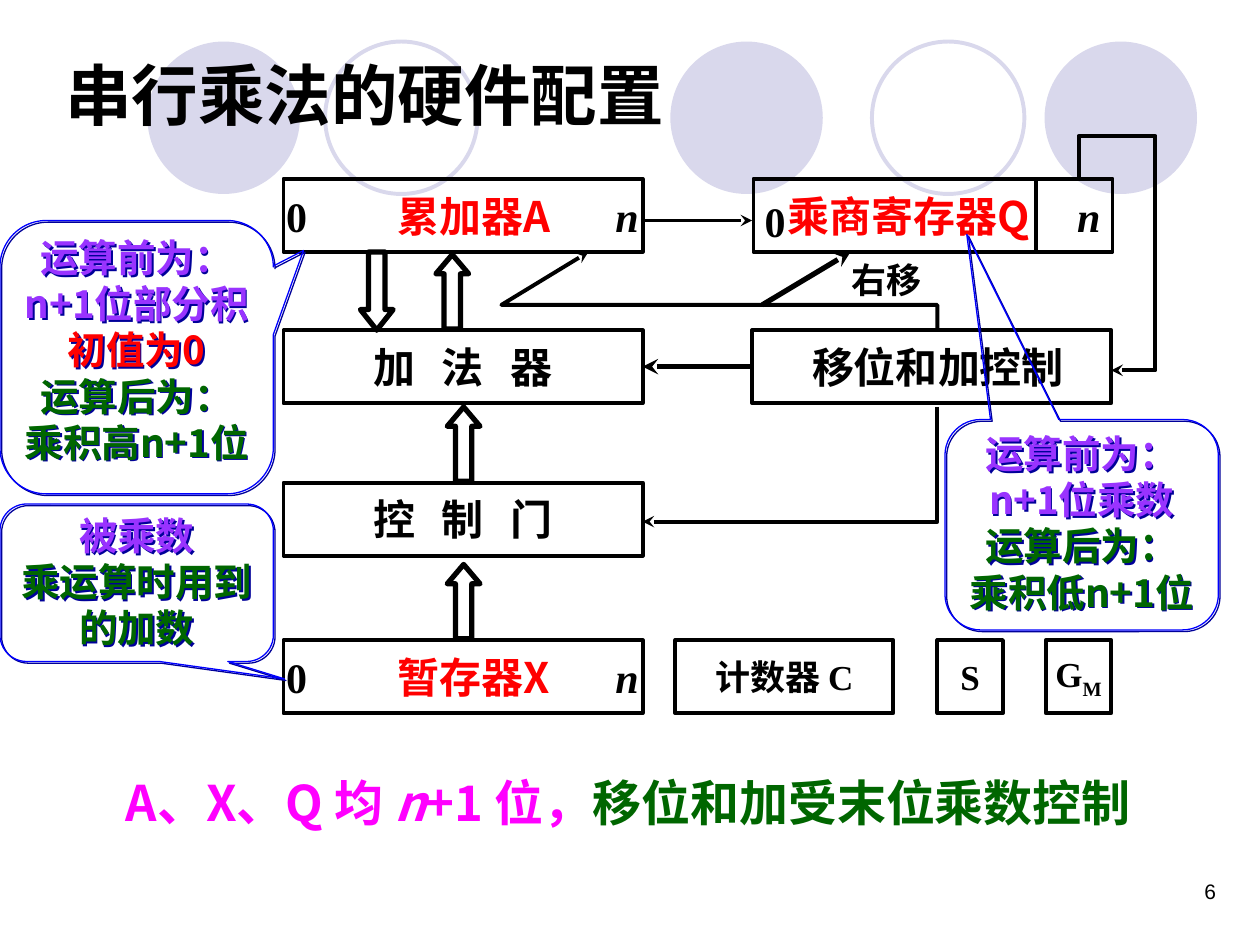
from dataclasses import dataclass

from lxml.etree import SubElement
from pptx import Presentation
from pptx.dml.color import RGBColor
from pptx.enum.shapes import MSO_CONNECTOR, MSO_SHAPE
from pptx.enum.text import MSO_ANCHOR, PP_ALIGN
from pptx.oxml.ns import qn
from pptx.util import Inches, Pt

BLACK = RGBColor(0x00, 0x00, 0x00)
RED = RGBColor(0xFF, 0x00, 0x00)
BLUE = RGBColor(0x00, 0x00, 0xFF)
GREEN = RGBColor(0x00, 0x66, 0x00)
PURPLE = RGBColor(0x99, 0x33, 0xFF)
MAGENTA = RGBColor(0xFF, 0x00, 0xFF)
LAVENDER = RGBColor(0xD9, 0xD8, 0xEC)
SHADOW_HEX = "000099"
SERIF, SANS, CHINESE = "Times New Roman", "Arial", "Noto Sans CJK SC"

BOX_HEIGHT = 0.58
REGISTER_WIDTH = 2.85
LEFT_COLUMN, RIGHT_COLUMN = 2.25, 5.97


@dataclass(frozen=True)
class Circle:
    left: float
    filled: bool


@dataclass(frozen=True)
class BlockArrow:
    left: float
    top: float
    height: float
    head: float
    rotation: int = 0


@dataclass(frozen=True)
class Callout:
    area: tuple[float, float, float, float]
    tip: tuple[float, float]
    lines: tuple[tuple[str, RGBColor], ...]


CIRCLES = (Circle(1.17, True), Circle(2.58, False), Circle(5.32, True),
           Circle(6.92, False), Circle(8.29, True))

BLOCK_ARROWS = (
    BlockArrow(3.46, 2.02, 0.59, 0.59),
    BlockArrow(2.86, 2.0, 0.62, 0.63, 180),
    BlockArrow(3.55, 3.23, 0.59, 0.59),
    BlockArrow(3.55, 4.48, 0.59, 0.59),
)

CALLOUTS = (
    Callout((0, 1.75, 2.17, 2.17), (0.61, -0.39),
            (("运算前为：", PURPLE), ("n+1位部分积", PURPLE), ("初值为0", RED),
             ("运算后为：", GREEN), ("乘积高n+1位", GREEN))),
    Callout((0, 4, 2.17, 1.25), (0.54, 0.61),
            (("被乘数", PURPLE), ("乘运算时用到的加数", GREEN))),
    Callout((7.5, 3.33, 2.17, 1.67), (-0.42, -1.38),
            (("运算前为：", PURPLE), ("n+1位乘数", PURPLE),
             ("运算后为：", GREEN), ("乘积低n+1位", GREEN))),
)


def add_text(para, text: str, *, size: float = 24, font: str = SERIF,
             color: RGBColor = BLACK, bold: bool = True, italic: bool = False,
             baseline: int = 0, spacing: int = 0) -> None:
    """Append a span; baseline is in percent and spacing in points."""
    span = para.add_run()
    span.text = text
    span.font.size, span.font.name = Pt(size), font
    span.font.bold, span.font.italic = bold, italic
    span.font.color.rgb = color
    properties = span.font._element if hasattr(span.font, "_element") else span._r.get_or_add_rPr()
    SubElement(properties, qn("a:ea"), typeface=CHINESE)
    if baseline:
        properties.set("baseline", str(baseline * 1000))
    if spacing:
        properties.set("spc", str(spacing * 100))


def prepare(shape, anchor=MSO_ANCHOR.TOP, align=PP_ALIGN.LEFT, side: float = 0.1,
            edge: float = 0.05):
    """Set up the text frame and return its first paragraph."""
    frame = shape.text_frame
    frame.word_wrap = True
    frame.vertical_anchor = anchor
    frame.margin_left = frame.margin_right = Inches(side)
    frame.margin_top = frame.margin_bottom = Inches(edge)
    para = frame.paragraphs[0]
    para.alignment = align
    return para


def add_box(slide, left: float, top: float, width: float, height: float, **layout):
    box = slide.shapes.add_textbox(*map(Inches, (left, top, width, height)))
    return prepare(box, **layout)


def set_tabs(para, stops: dict[float, str]) -> None:
    tabs = SubElement(para._p.get_or_add_pPr(), qn("a:tabLst"))
    for position, kind in stops.items():
        SubElement(tabs, qn("a:tab"), pos=str(Inches(position)), algn=kind)


def add_outline(slide, kind, area, color: RGBColor = BLACK, width: float = 2.25):
    shape = slide.shapes.add_shape(kind, *map(Inches, area))
    shape.shadow.inherit = False
    shape.fill.background()
    shape.line.color.rgb, shape.line.width = color, Pt(width)
    return shape


def add_rectangle(slide, left: float, top: float, width: float = REGISTER_WIDTH):
    return add_outline(slide, MSO_SHAPE.RECTANGLE, (left, top, width, BOX_HEIGHT))


def add_label(rectangle, text: str, **style) -> None:
    add_text(centred(rectangle), text, **style)


def centred(rectangle):
    return prepare(rectangle, MSO_ANCHOR.MIDDLE, PP_ALIGN.CENTER, side=0)


def add_register(slide, top: float, name: str):
    register = add_rectangle(slide, LEFT_COLUMN, top)
    para = prepare(register, MSO_ANCHOR.MIDDLE, side=0.02)
    set_tabs(para, {1.49: "ctr", 2.8: "r"})
    add_text(para, "0\t")
    add_text(para, name, font=CHINESE, color=RED)
    add_text(para, "\tn", italic=True)
    return register


def add_arrowhead(shape) -> None:
    outline = shape._element.spPr.find(qn("a:ln"))
    SubElement(outline, qn("a:tailEnd"), type="stealth")


def add_line(slide, start, end, width: float = 2.25, arrow: bool = True):
    line = slide.shapes.add_connector(MSO_CONNECTOR.STRAIGHT, *map(Inches, (*start, *end)))
    line.line.color.rgb, line.line.width = BLACK, Pt(width)
    if arrow:
        add_arrowhead(line)
    SubElement(line._element.spPr, qn("a:effectLst"))
    return line


def add_route(slide, *points: tuple[float, float]) -> None:
    """Draw an open bent line with an arrowhead at its last point."""
    corners = [(Inches(x), Inches(y)) for x, y in points]
    builder = slide.shapes.build_freeform(*corners[0])
    builder.add_line_segments(corners[1:], close=False)
    route = builder.convert_to_shape()
    route.shadow.inherit = False
    route.fill.background()
    route.line.color.rgb, route.line.width = BLACK, Pt(2.25)
    add_arrowhead(route)


def add_callout(slide, callout: Callout) -> None:
    bubble = add_outline(slide, MSO_SHAPE.ROUNDED_RECTANGULAR_CALLOUT, callout.area, BLUE, 0.75)
    for index, value in enumerate((*callout.tip, 0.17)):
        bubble.adjustments[index] = value
    effects = bubble._element.spPr.find(qn("a:effectLst"))
    shadow = SubElement(effects, qn("a:outerShdw"), dist=str(Pt(1.4)), dir=str(45 * 60000),
                        algn="ctr", rotWithShape="0")
    SubElement(shadow, qn("a:srgbClr"), val=SHADOW_HEX)
    para = prepare(bubble, align=PP_ALIGN.CENTER, side=0, edge=0)
    for index, (text, color) in enumerate(callout.lines):
        if index:
            para = bubble.text_frame.add_paragraph()
            para.alignment = PP_ALIGN.CENTER
        add_text(para, text, size=22, font=CHINESE, color=color)


def draw_background(slide) -> None:
    for circle in CIRCLES:
        disc = add_outline(slide, MSO_SHAPE.OVAL, (circle.left, 0.33, 1.21, 1.21), LAVENDER)
        if circle.filled:
            disc.fill.solid()
            disc.fill.fore_color.rgb = LAVENDER
            disc.line.fill.background()


def draw_hardware(slide) -> None:
    add_register(slide, 1.42, "累加器A")
    adder = add_rectangle(slide, LEFT_COLUMN, 2.62)
    add_label(adder, "加 法 器", spacing=5)
    add_label(add_rectangle(slide, LEFT_COLUMN, 3.83), "控 制 门", spacing=5)
    add_register(slide, 5.08, "暂存器X")
    for arrow in BLOCK_ARROWS:
        block = add_outline(slide, MSO_SHAPE.UP_ARROW,
                            (arrow.left, arrow.top, 0.26, arrow.height), width=3)
        block.adjustments[1] = arrow.head
        block.rotation = arrow.rotation

    add_rectangle(slide, 5.98, 1.42)
    add_line(slide, (8.22, 1.42), (8.22, 2), arrow=False)
    control = add_rectangle(slide, RIGHT_COLUMN, 2.62)
    add_label(control, "移位和加控制")
    control.text_frame.margin_left = Inches(0.1)

    add_route(slide, (7.44, 2.62), (7.44, 2.42), (3.98, 2.42), (4.67, 2))
    add_route(slide, (8.56, 1.42), (8.56, 1.08), (9.17, 1.08), (9.17, 2.94), (8.82, 2.94))
    add_route(slide, (7.44, 3.23), (7.44, 4.14), (5.1, 4.14))
    add_line(slide, (6.05, 2.42), (6.75, 2), width=3)
    add_line(slide, (5.1, 1.75), (5.97, 1.75))
    add_signal = add_line(slide, (5.97, 2.91), (5.1, 2.91), width=3)
    add_signal.begin_connect(control, 1)
    add_signal.end_connect(adder, 3)

    add_label(add_rectangle(slide, 5.36, 5.08, 1.73), "计数器 C", size=20)
    add_label(add_rectangle(slide, 7.44, 5.08, 0.52), "S", size=20)
    carry = centred(add_rectangle(slide, 8.3, 5.08, 0.52))
    add_text(carry, "G", size=20)
    add_text(carry, "M", size=20, baseline=-25)

    add_text(add_box(slide, 5.97, 1.5, 0.36, 0.5), "0")
    quotient = add_box(slide, 6.15, 1.46, 2.73, 0.57)
    set_tabs(quotient, {2.3: "l"})
    add_text(quotient, "乘商寄存器Q", font=CHINESE, color=RED)
    add_text(quotient, "\tn", italic=True)
    add_text(add_box(slide, 6.66, 2, 1.21, 0.44), "右移", size=20)


def main() -> None:
    deck = Presentation()
    deck.slide_width, deck.slide_height = Inches(10), Inches(7.5)
    slide = deck.slides.add_slide(deck.slide_layouts[6])
    draw_background(slide)
    number = add_box(slide, 7.42, 6.92, 2.33, 0.5, align=PP_ALIGN.RIGHT)
    add_text(number, "6", size=12, font=SANS, bold=False)
    summary = add_box(slide, 0.9, 6.08, 8.68, 1.04)
    for text, color, italic in (("A、X、Q 均 ", MAGENTA, False), ("n", MAGENTA, True),
                                ("+1 位，", MAGENTA, False),
                                ("移位和加受末位乘数控制", GREEN, False)):
        add_text(summary, text, size=28, font=CHINESE, color=color, italic=italic)
    draw_hardware(slide)
    title = add_box(slide, 0.42, 0.33, 9, 0.83, anchor=MSO_ANCHOR.MIDDLE)
    add_text(title, "串行乘法的硬件配置", size=38, font=SANS)
    for callout in CALLOUTS:
        add_callout(slide, callout)
    deck.save("out.pptx")


if __name__ == "__main__":
    main()
